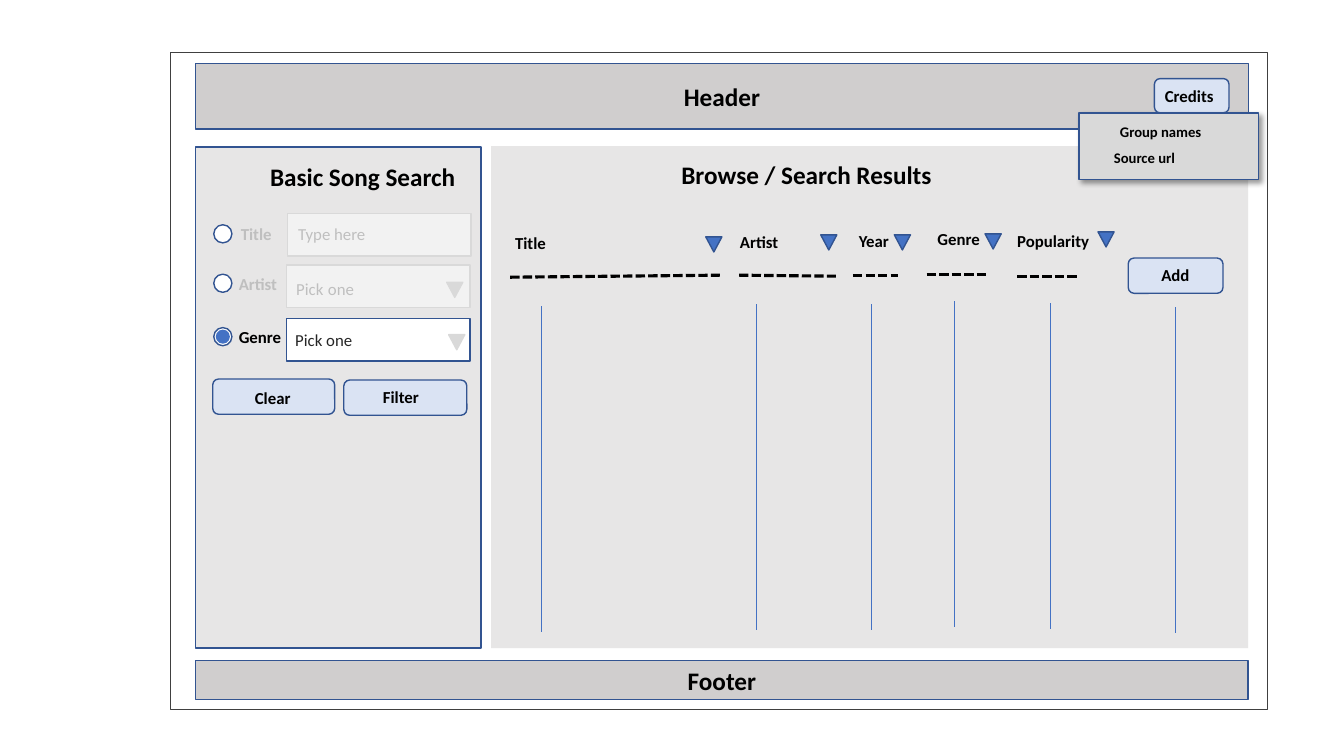
from collections import namedtuple
from dataclasses import dataclass

from lxml import etree
from pptx import Presentation
from pptx.dml.color import RGBColor
from pptx.enum.dml import MSO_LINE
from pptx.enum.shapes import MSO_CONNECTOR, MSO_SHAPE
from pptx.enum.text import MSO_ANCHOR, MSO_AUTO_SIZE, PP_ALIGN
from pptx.oxml import parse_xml
from pptx.oxml.ns import nsdecls, qn
from pptx.util import Inches, Pt

RECT, ROUNDED = MSO_SHAPE.RECTANGLE, MSO_SHAPE.ROUNDED_RECTANGLE
OVAL, TRIANGLE = MSO_SHAPE.OVAL, MSO_SHAPE.ISOSCELES_TRIANGLE
STRAIGHT, DASH = MSO_CONNECTOR.STRAIGHT, MSO_LINE.SQUARE_DOT
LEFT, CENTER = PP_ALIGN.LEFT, PP_ALIGN.CENTER
MIDDLE = MSO_ANCHOR.MIDDLE
FIT_TEXT, FIXED = MSO_AUTO_SIZE.SHAPE_TO_FIT_TEXT, MSO_AUTO_SIZE.NONE
TITLE_ONLY = 5


@dataclass(frozen=True)
class Theme:
    """Colours, font and type sizes of the wireframe."""
    font: str = "Calibri"
    heading: float = 18
    gap: float = 14
    label: float = 12
    menu: float = 10.5
    ink: str = "000000"
    entry: str = "262626"
    muted: str = "BFBFBF"
    frame: str = "404040"
    border: str = "325491"
    accent: str = "4472C4"
    bar: str = "D0CECE"
    panel: str = "E7E6E6"
    button: str = "DAE3F3"
    disabled: str = "F2F2F2"
    pale: str = "D9D9D9"
    white: str = "FFFFFF"


THEME = Theme()
Column = namedtuple("Column", "name label arrow dash rule")
Field = namedtuple("Field", "name label entry hint radio arrow active")

COLUMNS = [
    Column("Title", (0.14, 0.81, 1.05), (2.13, 0.9), (0.19, 1.3, 2.27, 1.28), (0.5, 1.59)),
    Column("Artist", (2.37, 0.8, 1.05), (3.27, 0.88), (2.46, 1.28, 3.42, 1.29), (2.63, 1.57)),
    Column("Year", (3.55, 0.79, 0.66), (4, 0.88), (3.59, 1.28, 4.04, 1.28), (3.77, 1.57)),
    Column("Genre", (4.33, 0.77, 0.66), (4.9, 0.87), (4.32, 1.27, 4.92, 1.27), (4.6, 1.54)),
    Column("Popularity", (5.12, 0.79, 0.96), (6.02, 0.85), (5.22, 1.29, 5.83, 1.29), (5.55, 1.56)),
]
MUTED_PICK = [("Pick", THEME.label, THEME.muted), (" ", THEME.gap, THEME.entry),
              ("one", THEME.label, THEME.muted)]
FIELDS = [
    Field("Title", (0.35, 0.71, 0.74), (0.91, 0.66),
          ([("Type here", THEME.label, THEME.muted)], (0.92, 0.71, 1.23, 0.3)), 0.77, None, False),
    Field("Artist", (0.33, 1.21, 0.77), (0.9, 1.17),
          (MUTED_PICK, (0.9, 1.23, 1.23, 0.34)), 1.26, (2.49, 1.34), False),
    Field("Genre", (0.33, 1.73, 0.87), (0.9, 1.7),
          ([("Pick one", THEME.label, THEME.entry)], (0.89, 1.76, 1.23, 0.3)), 1.79, (2.51, 1.86), True),
]


def inside(box, left, top, width, height):
    """Return a box given by its offset from the corner of another."""
    return box[0] + left, box[1] + top, width, height


def paint(shape, fill, line):
    """Give a shape its fill and one-point outline, or none."""
    if fill:
        shape.fill.solid()
        shape.fill.fore_color.rgb = RGBColor.from_string(fill)
    else:
        shape.fill.background()
    if line:
        shape.line.color.rgb = RGBColor.from_string(line)
        shape.line.width = Pt(1)
    else:
        shape.line.fill.background()


def add_block(slide, kind, box, fill, line=THEME.border):
    """Add a preset shape without shadow."""
    shape = slide.shapes.add_shape(kind, *map(Inches, box))
    shape.shadow.inherit = False
    paint(shape, fill, line)
    return shape


def write(frame, runs, bold, align):
    """Write runs of text, size and colour as one paragraph."""
    paragraph = frame.paragraphs[0]
    paragraph.alignment = align
    for text, size, color in runs:
        run = paragraph.add_run()
        run.text = text
        for name, value in {"name": THEME.font, "size": Pt(size), "bold": bold}.items():
            setattr(run.font, name, value)
        run.font.color.rgb = RGBColor.from_string(color)


def add_text(slide, box, runs, bold=True, align=LEFT, wrap=True):
    """Add a text box that fits its text."""
    frame = slide.shapes.add_textbox(*map(Inches, box)).text_frame
    for name, value in {"word_wrap": wrap, "auto_size": FIT_TEXT}.items():
        setattr(frame, name, value)
    write(frame, runs, bold, align)


def add_label(slide, box, text, size=THEME.label, color=THEME.ink, **layout):
    """Add a bold label in one style."""
    add_text(slide, box, [(text, size, color)], **layout)


def add_line(slide, box, ends, color, width, dash=None):
    """Add a straight line between two points of a box."""
    x1, y1, x2, y2 = ends
    points = box[0] + x1, box[1] + y1, box[0] + x2, box[1] + y2
    line = slide.shapes.add_connector(STRAIGHT, *map(Inches, points))
    line.line.color.rgb = RGBColor.from_string(color)
    line.line.width = Pt(width)
    if dash:
        line.line.dash_style = dash
    etree.SubElement(line._element.spPr, qn("a:effectLst"))


def add_arrow(slide, box, place, fill, line):
    """Add a small triangle that points down."""
    add_block(slide, TRIANGLE, inside(box, *place, 0.16, 0.15), fill, line).rotation = 180


def add_button(slide, box, text_box, text, align=LEFT):
    """Add a rounded button and its label."""
    add_block(slide, ROUNDED, box, THEME.button)
    add_label(slide, text_box, text, align=align)


def write_bar(bar, text):
    """Centre a heading in a full-width bar."""
    frame = bar.text_frame
    for name, value in {"vertical_anchor": MIDDLE, "auto_size": FIXED, "word_wrap": True}.items():
        setattr(frame, name, value)
    write(frame, [(text, THEME.heading, THEME.ink)], True, CENTER)


def add_header(slide, box):
    """Place the slide title as the header bar."""
    header = slide.shapes.title
    for name, value in zip(("left", "top", "width", "height"), box):
        setattr(header, name, Inches(value))
    paint(header, THEME.bar, THEME.border)
    write_bar(header, "Header")


def add_search(slide, box):
    """Build the search panel with its fields and buttons."""
    add_block(slide, RECT, box, THEME.panel)
    add_label(slide, inside(box, 0.64, 0.09, 2.61, 0.4), "Basic Song Search", THEME.heading)
    for field in FIELDS:
        fill, line = (THEME.white, THEME.border) if field.active else (THEME.disabled, THEME.pale)
        name_color = THEME.ink if field.active else THEME.muted
        add_label(slide, inside(box, *field.label, 0.3), field.name, color=name_color)
        add_block(slide, RECT, inside(box, *field.entry, 1.82, 0.42), fill, line)
        hint, hint_box = field.hint
        add_text(slide, inside(box, *hint_box), hint, bold=False)
        add_block(slide, OVAL, inside(box, 0.18, field.radio, 0.18, 0.18), THEME.white)
        if field.active:
            add_block(slide, OVAL, inside(box, 0.2, field.radio + 0.02, 0.14, 0.14), THEME.accent, None)
        if field.arrow:
            add_arrow(slide, box, field.arrow, THEME.pale, THEME.pale)
    add_button(slide, inside(box, 0.17, 2.3, 1.21, 0.35), inside(box, 0.26, 2.34, 1.01, 0.3), "Clear", CENTER)
    add_button(slide, inside(box, 1.47, 2.31, 1.22, 0.35), inside(box, 1.76, 2.33, 1.07, 0.3), "Filter")


def add_results(slide, box):
    """Build the results panel with its sortable columns."""
    add_block(slide, RECT, box, THEME.panel, None)
    add_label(slide, inside(box, 1.79, 0.08, 2.7, 0.4), "Browse / Search Results", THEME.heading, wrap=False)
    for column in COLUMNS:
        add_label(slide, inside(box, *column.label, 0.3), column.name)
        add_arrow(slide, box, column.arrow, THEME.accent, THEME.border)
        add_line(slide, box, column.dash, THEME.ink, 2.25, DASH)
    add_button(slide, inside(box, 6.32, 1.11, 0.94, 0.35), inside(box, 6.55, 1.13, 0.6, 0.3), "Add")
    for x, top in [column.rule for column in COLUMNS] + [(6.79, 1.6)]:
        add_line(slide, box, (x, top, x, top + 3.23), THEME.accent, 0.5)


def add_credits(slide, box):
    """Build the credits button and its open menu."""
    add_button(slide, inside(box, 0.75, 0, 0.74, 0.34), inside(box, 0.75, 0.02, 0.69, 0.3), "Credits", CENTER)
    menu = add_block(slide, RECT, inside(box, 0, 0.34, 1.78, 0.66), THEME.pale)
    menu._element.spPr.find(qn("a:effectLst")).append(parse_xml(
        f'<a:outerShdw {nsdecls("a")} blurRad="{Pt(4)}" dist="{Pt(3)}" dir="2700000" algn="tl" '
        f'rotWithShape="0"><a:srgbClr val="{THEME.ink}"><a:alpha val="40000"/></a:srgbClr></a:outerShdw>'))
    add_label(slide, inside(box, 0.31, 0.39, 1.18, 0.28), "Group names", THEME.menu)
    add_label(slide, inside(box, 0.25, 0.65, 1.06, 0.28), "Source url", THEME.menu)


def main():
    """Build the wireframe slide and save it."""
    deck = Presentation()
    deck.slide_width, deck.slide_height = Inches(13.33), Inches(7.5)
    slide = deck.slides.add_slide(deck.slide_layouts[TITLE_ONLY])
    add_block(slide, RECT, (1.69, 0.52, 10.88, 6.52), None, THEME.frame)
    add_header(slide, (1.94, 0.63, 10.44, 0.65))
    write_bar(add_block(slide, RECT, (1.94, 6.55, 10.44, 0.39), THEME.bar), "Footer")
    add_search(slide, (1.94, 1.46, 2.83, 4.97))
    add_results(slide, (4.87, 1.45, 7.51, 4.98))
    add_credits(slide, (10.7, 0.78, 1.78, 1))
    deck.save("out.pptx")


if __name__ == "__main__":
    main()
